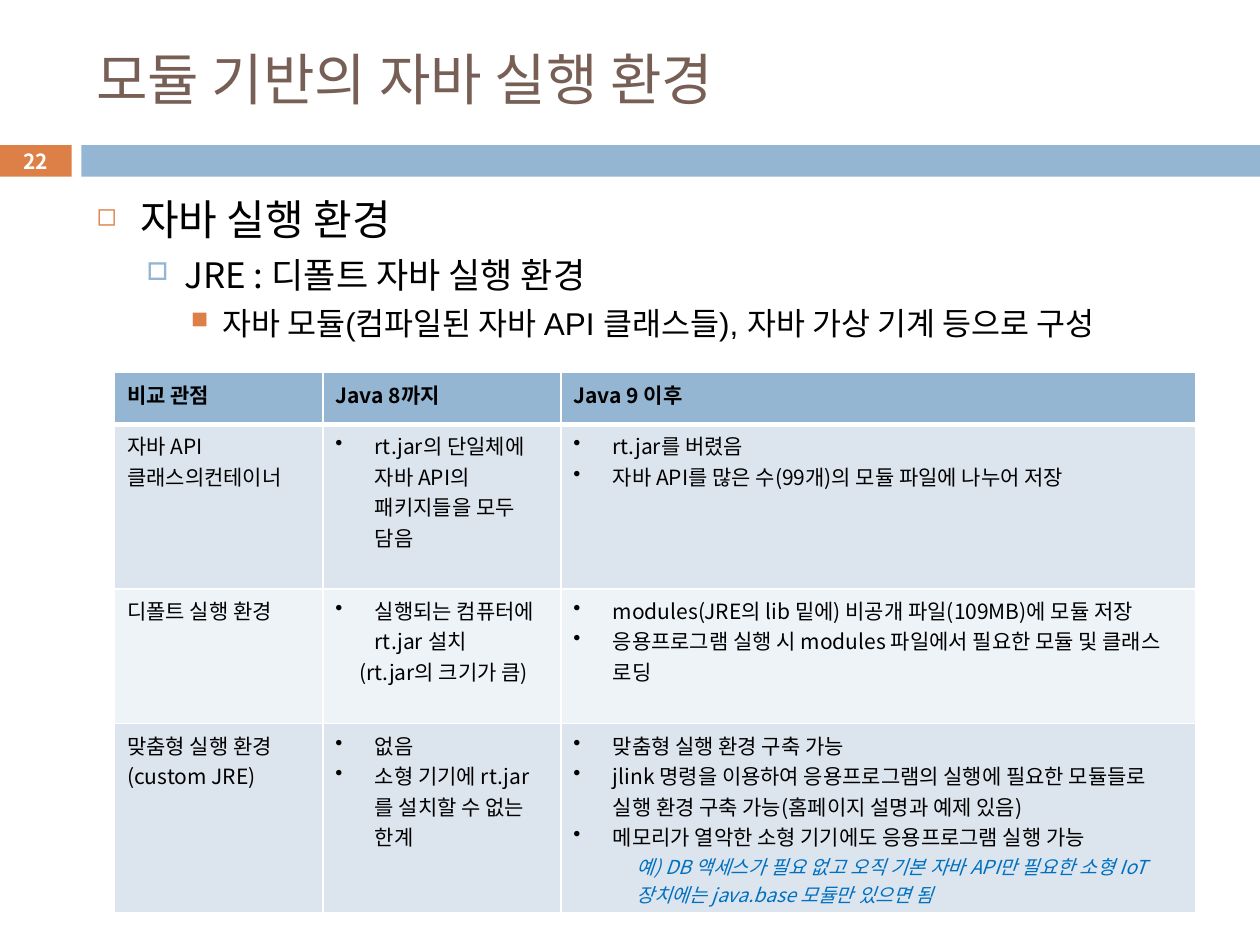
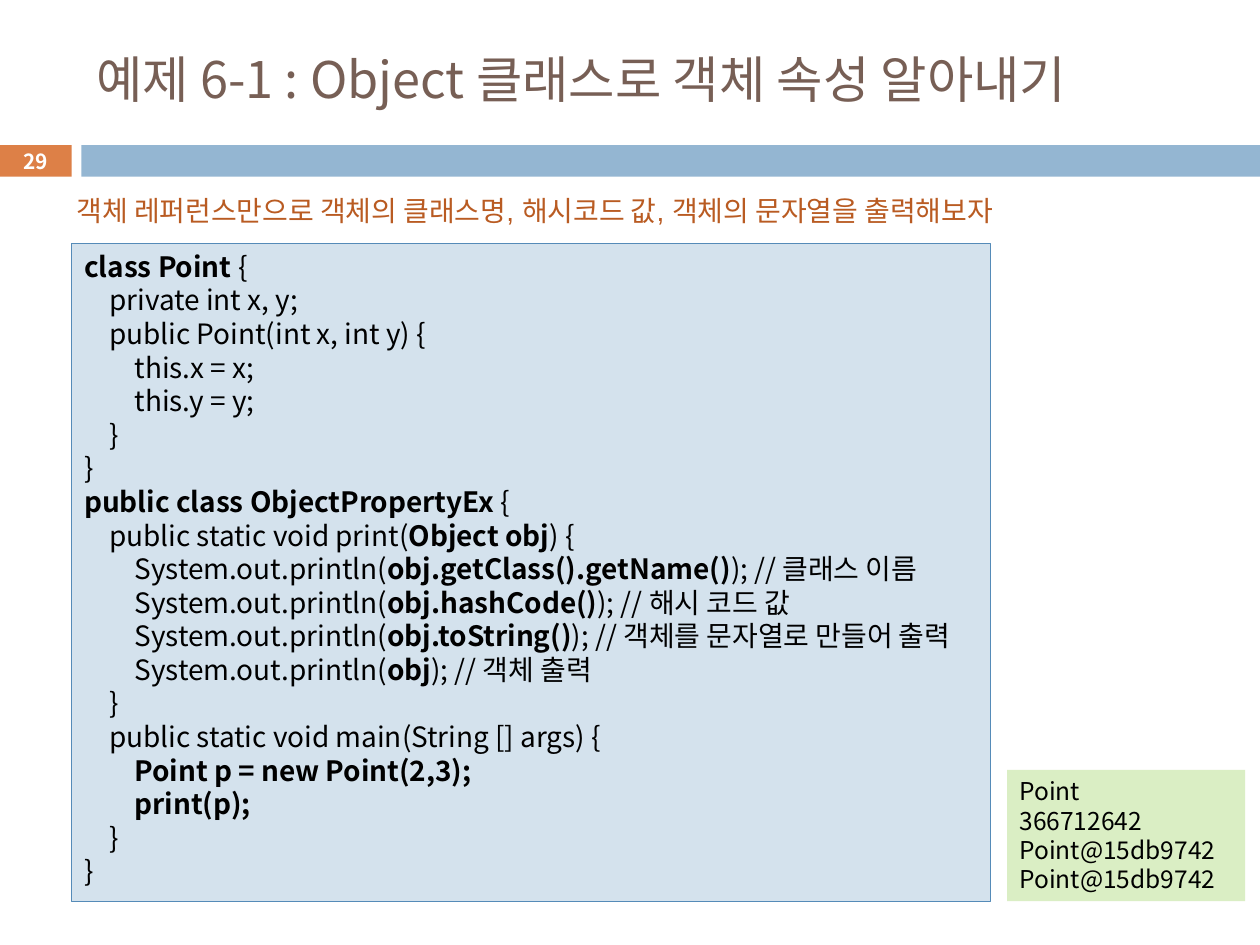
from lxml import etree
from pptx import Presentation
from pptx import util as u
from pptx.dml.color import RGBColor
from pptx.enum import shapes, text
from pptx.oxml.ns import qn

Pt = u.Pt
ORANGE, BLUE, BROWN, BLACK, WHITE = "DD8047", "94B6D2", "775F55", "000000", "FFFFFF"
PALE, PALER = "DCE5EE", "EEF3F7"
NOTO, ARIAL = "Noto Sans CJK KR", "Arial"
TIGHT = 1.2
TAB = 14.4


def rgb(hex_code):
    return RGBColor.from_string(hex_code)


def child(parent, tag, **attributes):
    return etree.SubElement(parent, qn(tag), attributes)


class Deck:
    """Holds the lecture style and current slide; asterisks in text switch its weight."""

    def __init__(self):
        self.show = Presentation()
        self.show.slide_width, self.show.slide_height = Pt(720), Pt(540)
        self.slide = None

    def new_slide(self, title, number, title_size):
        self.slide = self.show.slides.add_slide(self.show.slide_layouts[6])
        badge = self.box(0, 83, 41, 18, ORANGE)
        badge.vertical_anchor = text.MSO_ANCHOR.MIDDLE
        badge.margin_top = badge.margin_bottom = 0
        page = self.add_text(badge, 0, number, 11.9, WHITE, bold=True)
        page.alignment = text.PP_ALIGN.CENTER
        self.box(46.5, 83, 673.5, 18, BLUE)
        heading = self.text_box(48, 18, 642, 53)
        heading.vertical_anchor = text.MSO_ANCHOR.MIDDLE
        self.add_text(heading, 0, title, title_size, BROWN)

    def box(self, left, top, width, height, fill, line=None):
        shape = self.slide.shapes.add_shape(
            shapes.MSO_SHAPE.RECTANGLE, Pt(left), Pt(top), Pt(width), Pt(height))
        shape.shadow.inherit = False
        shape.fill.solid()
        shape.fill.fore_color.rgb = rgb(fill)
        if line:
            shape.line.color.rgb = rgb(line)
            shape.line.width = Pt(0.75)
        else:
            shape.line.fill.background()
        frame = shape.text_frame
        frame.word_wrap = True
        frame.vertical_anchor = text.MSO_ANCHOR.TOP
        return frame

    def text_box(self, left, top, width, height):
        frame = self.slide.shapes.add_textbox(
            Pt(left), Pt(top), Pt(width), Pt(height)).text_frame
        frame.word_wrap = True
        return frame

    def add_text(self, frame, index, words, size, color=BLACK, font=NOTO,
                 bold=False, italic=False, spacing=None):
        paragraph = frame.add_paragraph() if index else frame.paragraphs[0]
        paragraph.alignment = text.PP_ALIGN.LEFT
        if spacing:
            paragraph.line_spacing = Pt(round(size * spacing, 1))
        for part, piece in enumerate(words.split("*")):
            if not piece:
                continue
            run = paragraph.add_run()
            run.text = piece
            run.font.size, run.font.name = Pt(size), font
            run.font.bold, run.font.italic = bold ^ (part % 2 == 1), italic
            run.font.color.rgb = rgb(color)
            child(run.font._element, "a:ea", typeface=NOTO)
        return paragraph

    def indent(self, paragraph, left, hanging=0):
        properties = paragraph._p.get_or_add_pPr()
        properties.set("marL", str(Pt(left)))
        properties.set("indent", str(-Pt(hanging)))
        return properties

    def bullet(self, paragraph, left, hanging, mark="•", color=BLACK, percent=100):
        properties = self.indent(paragraph, left, hanging)
        child(child(properties, "a:buClr"), "a:srgbClr", val=color)
        child(properties, "a:buSzPct", val=str(percent * 1000))
        child(properties, "a:buChar", char=mark)

    def outline(self, levels):
        frame = self.text_box(48, 107, 642, 90)
        for index, (words, size, font, left, hanging, before, *mark) in enumerate(levels):
            paragraph = self.add_text(frame, index, words, size, font=font, spacing=TIGHT)
            self.bullet(paragraph, left, hanging, *mark)
            if index:
                paragraph.space_before = Pt(before)

    def listing(self, frame, lines, size):
        for index, line in enumerate(lines.strip().split("\n")):
            paragraph = self.add_text(frame, index, line, size, spacing=TIGHT)
            stops = child(paragraph._p.get_or_add_pPr(), "a:tabLst")
            for stop in (1, 2):
                child(stops, "a:tab", pos=str(Pt(TAB * stop)), algn="l")

    def border(self, cell, bottom):
        properties = cell._tc.get_or_add_tcPr()
        for side, width in zip("LRTB", (1, 1, 1, bottom)):
            line = child(properties, "a:ln" + side, w=str(Pt(width)))
            child(child(line, "a:solidFill"), "a:srgbClr", val=WHITE)

    def cell_text(self, frame, entries, bold):
        for index, (style, words) in enumerate(entries):
            if style == "example":
                paragraph = self.add_text(frame, index, words, 11, "0070C0", italic=True)
                self.indent(paragraph, 36)
                continue
            paragraph = self.add_text(frame, index, words, 12, bold=bold)
            if style == "bullet":
                self.bullet(paragraph, 22.5, 22.5)
            elif style == "aside":
                self.indent(paragraph, 13.7)

    def table(self, left, top, widths, heights, rows):
        grid = self.slide.shapes.add_table(
            len(rows), len(widths), Pt(left), Pt(top),
            Pt(sum(widths)), Pt(sum(heights))).table
        grid.horz_banding = False
        for column, width in zip(grid.columns, widths):
            column.width = Pt(width)
        for r, (row, height) in enumerate(zip(rows, heights)):
            grid.rows[r].height = Pt(height)
            for c, entries in enumerate(row):
                cell = grid.cell(r, c)
                self.border(cell, 1 if r else 3)
                cell.fill.solid()
                cell.fill.fore_color.rgb = rgb((PALE if r % 2 else PALER) if r else BLUE)
                self.cell_text(cell.text_frame, entries, bold=r == 0)


def plain(words):
    return [("plain", words)]


def bullets(*items):
    return [("bullet", item) for item in items]


LEVELS = [
    ("자바 실행 환경", 24, NOTO, 25, 25, 0, "◻", ORANGE, 60),
    ("JRE : 디폴트 자바 실행 환경", 20, NOTO, 50.4, 21.6, 5.5, "□", BLUE, 70),
    ("자바 모듈(컴파일된 자바 API 클래스들), 자바 가상 기계 등으로 구성",
     18, ARIAL, 72, 18, 5, "■", ORANGE, 75),
]

COMPARISON = [
    [plain("비교 관점"), plain("Java 8까지"), plain("Java 9 이후")],
    [plain("자바 API 클래스의컨테이너"),
     bullets("rt.jar의 단일체에 자바 API의 패키지들을 모두 담음"),
     bullets("rt.jar를 버렸음", "자바 API를 많은 수(99개)의 모듈 파일에 나누어 저장")],
    [plain("디폴트 실행 환경"),
     bullets("실행되는 컴퓨터에 rt.jar 설치") + [("aside", "(rt.jar의 크기가 큼)")],
     bullets("modules(JRE의 lib 밑에) 비공개 파일(109MB)에 모듈 저장",
             "응용프로그램 실행 시 modules 파일에서 필요한 모듈 및 클래스 로딩")],
    [plain("맞춤형 실행 환경(custom JRE)"),
     bullets("없음", "소형 기기에 rt.jar를 설치할 수 없는 한계"),
     bullets("맞춤형 실행 환경 구축 가능",
             "jlink 명령을 이용하여 응용프로그램의 실행에 필요한 모듈들로 "
             "실행 환경 구축 가능(홈페이지 설명과 예제 있음)",
             "메모리가 열악한 소형 기기에도 응용프로그램 실행 가능")
     + [("example", "예) DB 액세스가 필요 없고 오직 기본 자바 API만 필요한 소형 "
                    "IoT 장치에는 java.base 모듈만 있으면 됨")]],
]

CODE = """
*class Point *{
\tprivate int x, y;
\tpublic Point(int x, int y) {
\t\tthis.x = x;
\t\tthis.y = y;
\t}
}
*public class ObjectPropertyEx *{
\tpublic static void print(*Object obj*) {
\t\tSystem.out.println(*obj.getClass().getName()*); // 클래스 이름
\t\tSystem.out.println(*obj.hashCode()*); // 해시 코드 값
\t\tSystem.out.println(*obj.toString()*); // 객체를 문자열로 만들어 출력
\t\tSystem.out.println(*obj*); // 객체 출력
\t}
\tpublic static void main(String [] args) {
\t\t*Point p = new Point(2,3);*
\t\t*print(p);*
\t}
}
"""

OUTPUT = """
Point
366712642
Point@15db9742
Point@15db9742
"""


def main():
    deck = Deck()

    deck.new_slide("모듈 기반의 자바 실행 환경", "22", 32)
    deck.outline(LEVELS)
    deck.table(65.5, 213, (119, 136, 363), (29.5, 94, 77, 108), COMPARISON)

    deck.new_slide("예제 6-1 : Object 클래스로 객체 속성 알아내기", "29", 28.8)
    deck.listing(deck.box(41, 139, 525, 376, "D4E2ED", "558BB8"), CODE, 16)
    deck.listing(deck.box(575.5, 440, 136, 75, "DAEEC4"), OUTPUT, 14)
    task = deck.text_box(36.7, 107.3, 623.5, 26.6)
    deck.add_text(task, 0, "객체 레퍼런스만으로 객체의 클래스명, 해시코드 값, 객체의 문자열을 출력해보자",
                  16, "B95B22", ARIAL, spacing=TIGHT)

    deck.show.save("out.pptx")


if __name__ == "__main__":
    main()
